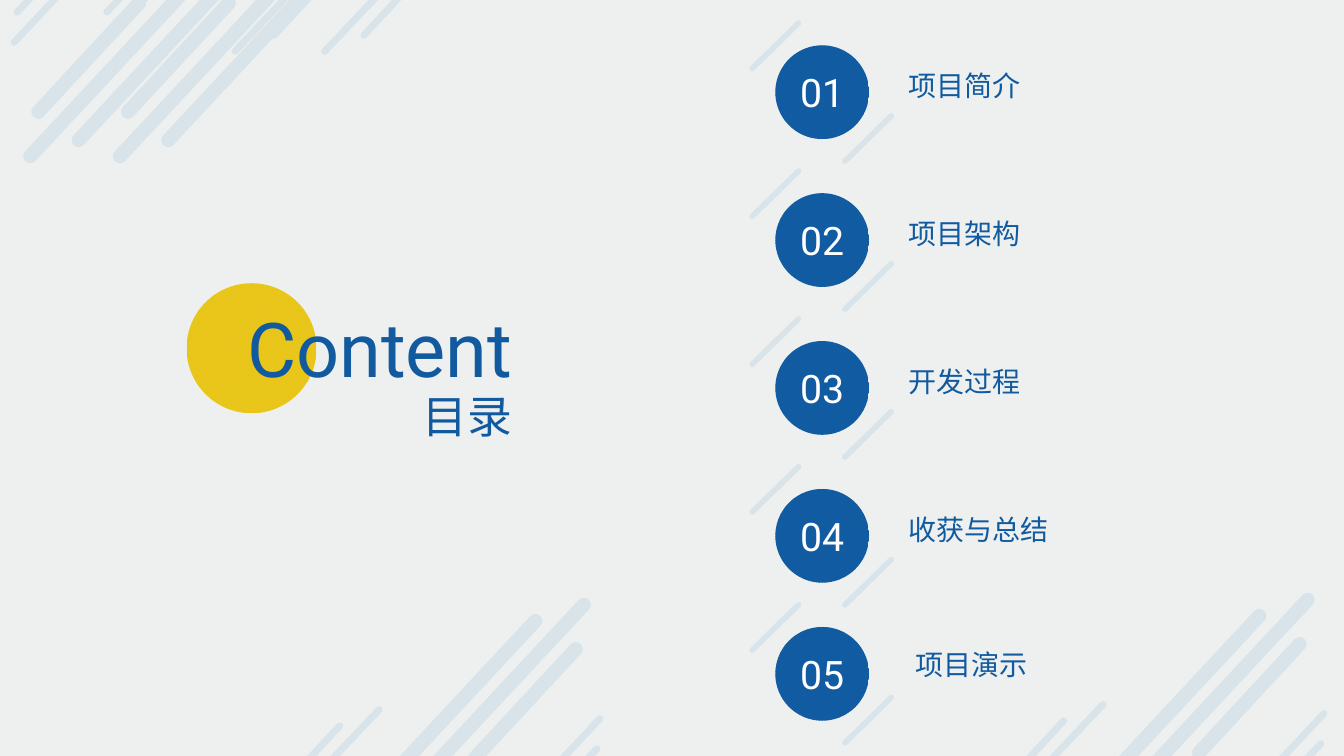
from lxml import etree
from pptx import Presentation
from pptx.dml.color import RGBColor
from pptx.enum import dml, shapes, text
from pptx.oxml.ns import qn
from pptx.util import Inches, Pt

PAPER = RGBColor(0xEE, 0xF0, 0xEF)
STRIPE = RGBColor(0xD8, 0xE4, 0xE9)
BLUE = RGBColor(0x11, 0x5A, 0x9F)
BLUE_HATCH = RGBColor(0x13, 0x66, 0xB1)
YELLOW = RGBColor(0xE9, 0xC5, 0x17)
YELLOW_HATCH = RGBColor(0xEB, 0xCB, 0x2D)
WHITE = RGBColor(0xFF, 0xFF, 0xFF)
FONT = "Roboto"

# Stripes of one corner cluster: start x, y, end x, y in inches, width in points
CLUSTER = [
    (2.49, 1.61, 2.94, 1.13, 5),
    (2.73, 1.62, 2.91, 1.43, 5),
    (0.94, 1.62, 2.30, 0.16, 10),
    (0.87, 2.05, 2.78, 0.00, 10),
    (1.70, 1.52, 2.70, 0.44, 10),
    (0.36, 1.20, 0.00, 1.59, 5),
    (0.75, 1.04, 0.23, 1.59, 5),
]

TOPICS = ["项目简介", "项目架构", "开发过程", "收获与总结"]
CLOSING_TOPIC = "项目演示"
ROW_LEFT, ROW_TOP, ROW_PITCH = 7.69, 0.45, 1.467
DISC = 0.93


def style_text(frame, content, size, color):
    frame.text = content
    frame.word_wrap = False
    paragraph = frame.paragraphs[0]
    for run in paragraph.runs:
        run.font.size = Pt(size)
        run.font.name = FONT
        run.font.color.rgb = color
        east_asian = etree.SubElement(run.font._element, qn("a:ea"))
        east_asian.set("typeface", FONT)
    return paragraph


def add_label(slide, left, top, width, height, content, size):
    label = slide.shapes.add_textbox(
        Inches(left), Inches(top), Inches(width), Inches(height))
    style_text(label.text_frame, content, size, BLUE)
    label.text_frame.auto_size = text.MSO_AUTO_SIZE.SHAPE_TO_FIT_TEXT


def add_stripe(slide, x1, y1, x2, y2, width):
    stripe = slide.shapes.add_connector(
        shapes.MSO_CONNECTOR.STRAIGHT,
        Inches(x1), Inches(y1), Inches(x2), Inches(y2))
    stripe.line.color.rgb = STRIPE
    stripe.line.width = Pt(width)
    stripe.line._get_or_add_ln().set("cap", "rnd")
    etree.SubElement(stripe._element.spPr, qn("a:effectLst"))


def add_cluster(slide, left, top, direction=1):
    """Draw the stripes from an anchor; direction -1 turns them by 180 degrees."""
    for x1, y1, x2, y2, width in CLUSTER:
        add_stripe(slide, left + direction * x1, top + direction * y1,
                   left + direction * x2, top + direction * y2, width)


def add_disc(slide, left, top, size, hatch, color):
    disc = slide.shapes.add_shape(
        shapes.MSO_SHAPE.OVAL,
        Inches(left), Inches(top), Inches(size), Inches(size))
    disc.shadow.inherit = False
    disc.line.fill.background()
    disc.fill.patterned()
    disc.fill.pattern = dml.MSO_PATTERN.LIGHT_UPWARD_DIAGONAL
    disc.fill.fore_color.rgb = hatch
    disc.fill.back_color.rgb = color
    return disc


def add_heading(slide, left, top):
    add_disc(slide, left, top, 1.29, YELLOW_HATCH, YELLOW)
    add_label(slide, left + 2.24, top + 1, 1.1, 0.64, "目录", 32)

    title = slide.shapes.title
    title.left, title.top = Inches(left + 0.5), Inches(top + 0.13)
    title.width, title.height = Inches(2.87), Inches(1.01)
    paragraph = style_text(title.text_frame, "Content", 54, BLUE)
    paragraph.alignment = text.PP_ALIGN.LEFT
    title.text_frame.vertical_anchor = text.MSO_ANCHOR.TOP
    title.text_frame.auto_size = text.MSO_AUTO_SIZE.SHAPE_TO_FIT_TEXT
    # Bring the title in front of the yellow disc
    slide.shapes._spTree.append(title._element)


def add_topic(slide, left, top, number, topic, label_dx=1.22, label_dy=0.18):
    add_stripe(slide, left - 0.23, top + 0.23, left + 0.23, top - 0.22, 4)
    add_stripe(slide, left + 0.69, top + 1.15, left + 1.15, top + 0.7, 4)
    disc = add_disc(slide, left, top, DISC, BLUE_HATCH, BLUE)
    paragraph = style_text(disc.text_frame, f"{number:02}", 28, WHITE)
    paragraph.alignment = text.PP_ALIGN.CENTER
    disc.text_frame.vertical_anchor = text.MSO_ANCHOR.MIDDLE
    label_width = 0.2 + 0.28 * len(topic)
    add_label(slide, left + label_dx, top + label_dy, label_width, 0.44, topic, 20)


def build_contents_slide(deck):
    slide = deck.slides.add_slide(deck.slide_layouts[5])
    slide.background.fill.solid()
    slide.background.fill.fore_color.rgb = PAPER

    add_cluster(slide, 10.19, 5.95)
    add_cluster(slide, 3.01, 6)
    for right in (3.08, 3.97):
        add_cluster(slide, right, 1.55, direction=-1)

    add_heading(slide, 1.85, 2.81)
    for index, topic in enumerate(TOPICS):
        add_topic(slide, ROW_LEFT, ROW_TOP + index * ROW_PITCH, index + 1, topic)
    add_topic(slide, ROW_LEFT, 6.22, len(TOPICS) + 1, CLOSING_TOPIC,
              label_dx=1.29, label_dy=0.15)


def main():
    deck = Presentation()
    deck.slide_width, deck.slide_height = Inches(13.33), Inches(7.5)
    build_contents_slide(deck)
    deck.save("out.pptx")


if __name__ == "__main__":
    main()
